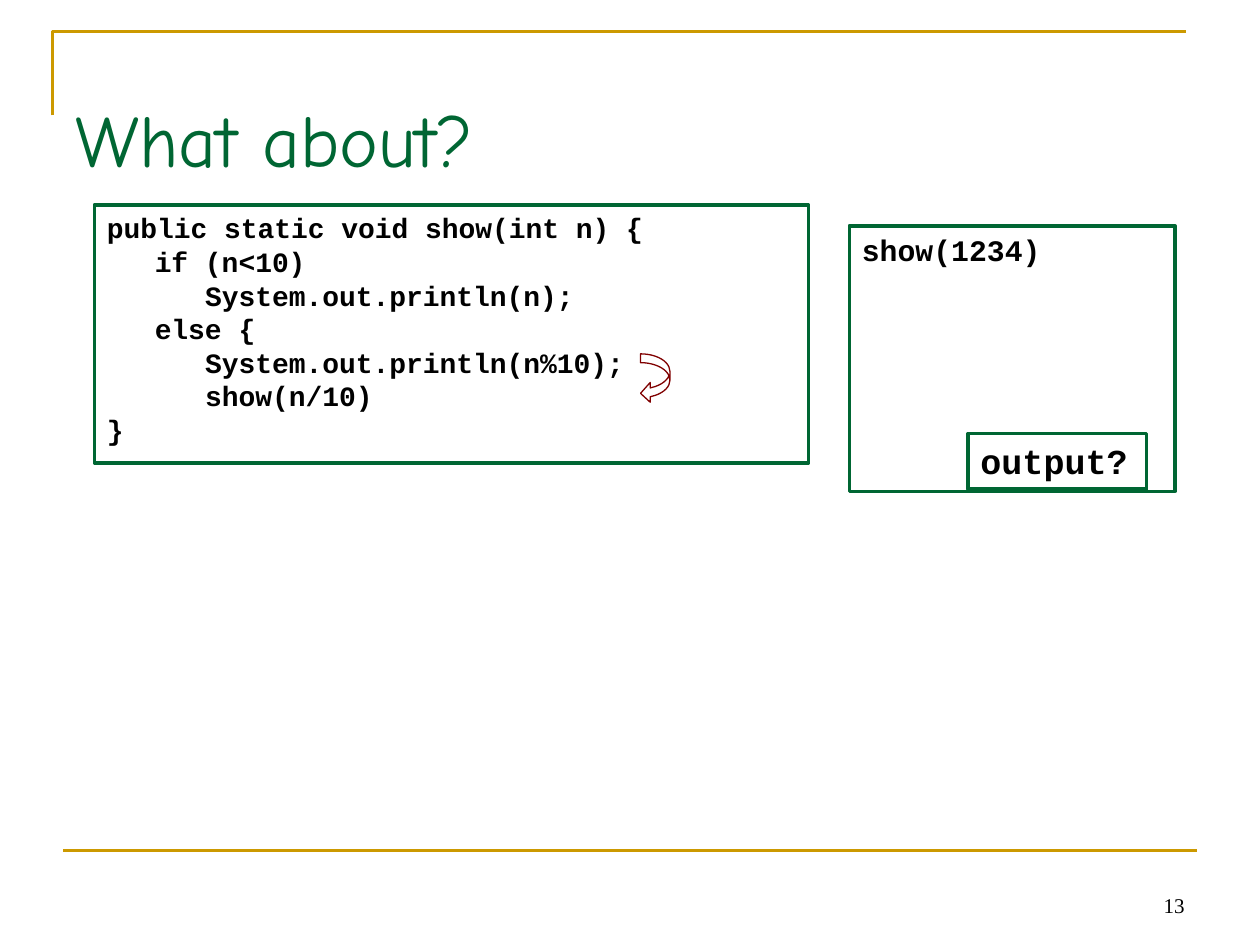
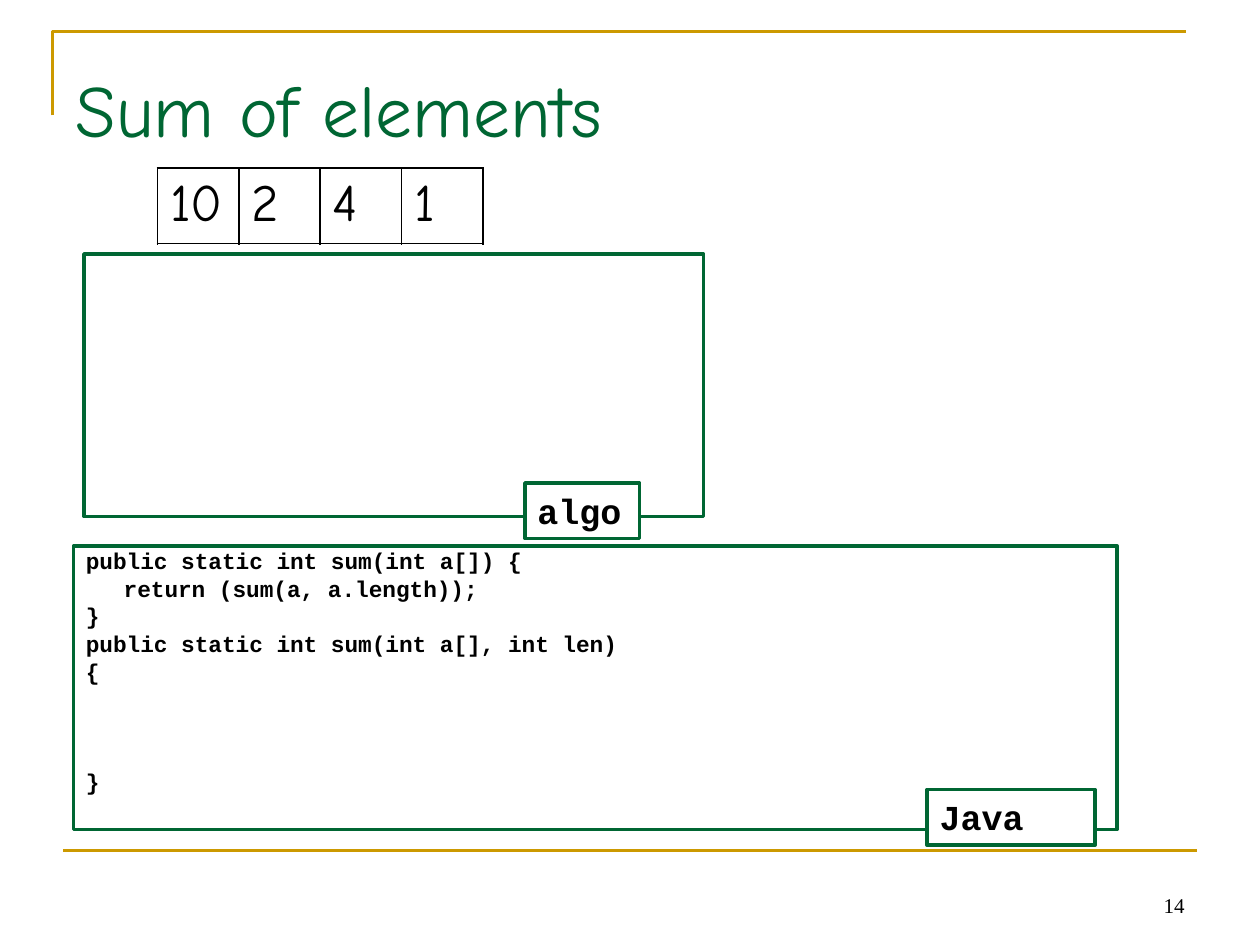
from dataclasses import dataclass
from typing import Any, Optional

from lxml.etree import SubElement
from pptx import Presentation
from pptx.dml.color import RGBColor
from pptx.enum.shapes import MSO_CONNECTOR, MSO_SHAPE
from pptx.enum.text import MSO_ANCHOR, PP_ALIGN
from pptx.oxml.ns import qn
from pptx.util import Emu, Inches, Pt

GOLD = RGBColor(0xCC, 0x99, 0x00)
GREEN = RGBColor(0x00, 0x66, 0x33)
MAROON = RGBColor(0x80, 0x00, 0x00)
BLACK = RGBColor(0x00, 0x00, 0x00)
WHITE = RGBColor(0xFF, 0xFF, 0xFF)

HAND, CODE, SERIF = "Comic Neue", "Courier New", "Times New Roman"

SLIDE_W, SLIDE_H = Inches(10), Inches(7.5)
COLUMNS, ROWS = 120, 90
FIRST_PAGE = 13
LINE_HEIGHT = 1.2
INSETS = {
    "margin_left": Inches(0.1),
    "margin_right": Inches(0.1),
    "margin_top": Inches(0.05),
    "margin_bottom": Inches(0.05),
}


def col(n: float) -> Emu:
    return Emu(round(SLIDE_W * n / COLUMNS))


def row(n: float) -> Emu:
    return Emu(round(SLIDE_H * n / ROWS))


@dataclass(frozen=True)
class Area:
    left: float
    top: float
    width: float
    height: float

    def emu(self) -> tuple[Emu, Emu, Emu, Emu]:
        return col(self.left), row(self.top), col(self.width), row(self.height)


@dataclass(frozen=True)
class CodeLine:
    text: str
    indent: float = 0
    skipped: int = 0


@dataclass(frozen=True)
class CodeBox:
    area: Area
    size: float = 16
    lines: tuple[CodeLine, ...] = ()
    spacing: float = 1.0
    before: float = 0
    fill: Optional[RGBColor] = None


def label(left: float, top: float, width: float, text: str) -> CodeBox:
    return CodeBox(Area(left, top, width, 5.3), 20, (CodeLine(text),), fill=WHITE)


def apply(target: Any, values: dict[str, Any]) -> None:
    for name, value in values.items():
        setattr(target, name, value)


def add_text(p: Any, text: str, font: str, size: float, color: RGBColor, bold: bool = False) -> None:
    r = p.add_run()
    r.text = text
    apply(r.font, {"name": font, "size": Pt(size), "bold": bold})
    r.font.color.rgb = color


def style_outline(sp: Any, color: RGBColor, width: float, fill: Optional[RGBColor] = None) -> None:
    sp.shadow.inherit = False
    sp.line.color.rgb = color
    sp.line.width = Pt(width)
    if fill is None:
        sp.fill.background()
    else:
        sp.fill.solid()
        sp.fill.fore_color.rgb = fill


def add_code_box(s: Any, box: CodeBox) -> None:
    sp = s.shapes.add_shape(MSO_SHAPE.RECTANGLE, *box.area.emu())
    style_outline(sp, GREEN, 2, box.fill)
    tf = sp.text_frame
    apply(tf, {**INSETS, "word_wrap": True, "vertical_anchor": MSO_ANCHOR.TOP})
    pitch = box.size * LINE_HEIGHT * box.spacing + box.before
    for i, line in enumerate(box.lines):
        p = tf.add_paragraph() if i else tf.paragraphs[0]
        apply(p, {
            "alignment": PP_ALIGN.LEFT,
            "line_spacing": box.spacing,
            "space_before": Pt(round(box.before + line.skipped * pitch, 1)),
        })
        p._p.get_or_add_pPr().set("marL", str(Inches(line.indent)))
        add_text(p, line.text, CODE, box.size, BLACK, True)


def add_frame(s: Any, page: int) -> None:
    left, top, right, bottom = 5, 3, 113, 11
    builder = s.shapes.build_freeform(col(left), row(bottom))
    builder.add_line_segments([(col(left), row(top)), (col(right), row(top))], close=False)
    style_outline(builder.convert_to_shape(), GOLD, 1.5)

    rule = s.shapes.add_connector(MSO_CONNECTOR.STRAIGHT, col(6), row(81), col(114), row(81))
    rule.line.color.rgb = GOLD
    rule.line.width = Pt(1.5)
    SubElement(rule._element.spPr, qn("a:effectLst"))

    tf = s.shapes.add_textbox(*Area(86, 82, 28, 6).emu()).text_frame
    apply(tf, {**INSETS, "word_wrap": True, "vertical_anchor": MSO_ANCHOR.BOTTOM})
    p = tf.paragraphs[0]
    p.alignment = PP_ALIGN.RIGHT
    add_text(p, str(page), SERIF, 12, BLACK)


def add_titled_slide(prs: Any, title: str, title_rows: float) -> Any:
    s = prs.slides.add_slide(prs.slide_layouts[5])
    add_frame(s, FIRST_PAGE + len(prs.slides) - 1)
    sp = s.shapes.title
    apply(sp, dict(zip(("left", "top", "width", "height"), Area(6, 3.6, 108, title_rows).emu())))
    tf = sp.text_frame
    apply(tf, {
        **INSETS,
        "margin_bottom": Inches(0.1),
        "word_wrap": True,
        "vertical_anchor": MSO_ANCHOR.BOTTOM,
    })
    p = tf.paragraphs[0]
    p.alignment = PP_ALIGN.LEFT
    add_text(p, title, HAND, 42, GREEN)
    return s


def add_cell_borders(cell: Any) -> None:
    tcPr = cell._tc.get_or_add_tcPr()
    for i, side in enumerate(("lnL", "lnR", "lnT", "lnB")):
        ln = tcPr.makeelement(qn(f"a:{side}"), {"w": str(Pt(1.08))})
        fill = SubElement(ln, qn("a:solidFill"))
        SubElement(fill, qn("a:srgbClr"), val=str(BLACK))
        tcPr.insert(i, ln)


def add_array(s: Any, area: Area, values: tuple[int, ...]) -> None:
    table = s.shapes.add_table(1, len(values), *area.emu()).table
    apply(table, {"first_row": False, "horz_banding": False})
    for i, value in enumerate(values):
        table.columns[i].width = col(area.width / len(values))
        cell = table.cell(0, i)
        apply(cell, {**INSETS, "vertical_anchor": MSO_ANCHOR.TOP})
        cell.fill.background()
        add_cell_borders(cell)
        add_text(cell.text_frame.paragraphs[0], str(value), HAND, 30, BLACK)


def add_return_arrow(s: Any, area: Area) -> None:
    sp = s.shapes.add_shape(MSO_SHAPE.CURVED_LEFT_ARROW, *area.emu())
    for i, share in enumerate((0.3, 0.67, 0.33)):
        sp.adjustments[i] = share
    style_outline(sp, MAROON, 0.75)


SHOW_BOXES = (
    CodeBox(Area(80.9, 21.5, 31, 25.3), 17, (CodeLine("show(1234)"),)),
    CodeBox(Area(9, 19.5, 68, 24.6), 16, (
        CodeLine("public static void show(int n) {"),
        CodeLine("if (n<10)", 0.38),
        CodeLine("System.out.println(n);", 0.78),
        CodeLine("else {", 0.38),
        CodeLine("System.out.println(n%10);", 0.78),
        CodeLine("show(n/10)", 0.78),
        CodeLine("}"),
    )),
    label(92.2, 41.3, 17, "output?"),
)

SUM_BOXES = (
    CodeBox(Area(7, 52, 99.4, 27), 13, (
        CodeLine("public static int sum(int a[]) {"),
        CodeLine("return (sum(a, a.length));", 0.3),
        CodeLine("}"),
        CodeLine("public static int sum(int a[], int len)"),
        CodeLine("{"),
        CodeLine("}", skipped=3),
    ), spacing=0.8, before=3.3),
    CodeBox(Area(8, 24.2, 59, 25)),
    label(50, 46, 10.9, "algo"),
    label(88.3, 75.2, 16, "Java"),
)


def main() -> None:
    prs = Presentation()
    apply(prs, {"slide_width": SLIDE_W, "slide_height": SLIDE_H})

    s = add_titled_slide(prs, "What about?", 15)
    for box in SHOW_BOXES:
        add_code_box(s, box)
    add_return_arrow(s, Area(61, 33.7, 2.8, 4.7))

    s = add_titled_slide(prs, "Sum of elements", 12.1)
    add_array(s, Area(15, 16, 31, 7.2), (10, 2, 4, 1))
    for box in SUM_BOXES:
        add_code_box(s, box)

    prs.save("out.pptx")


if __name__ == "__main__":
    main()
